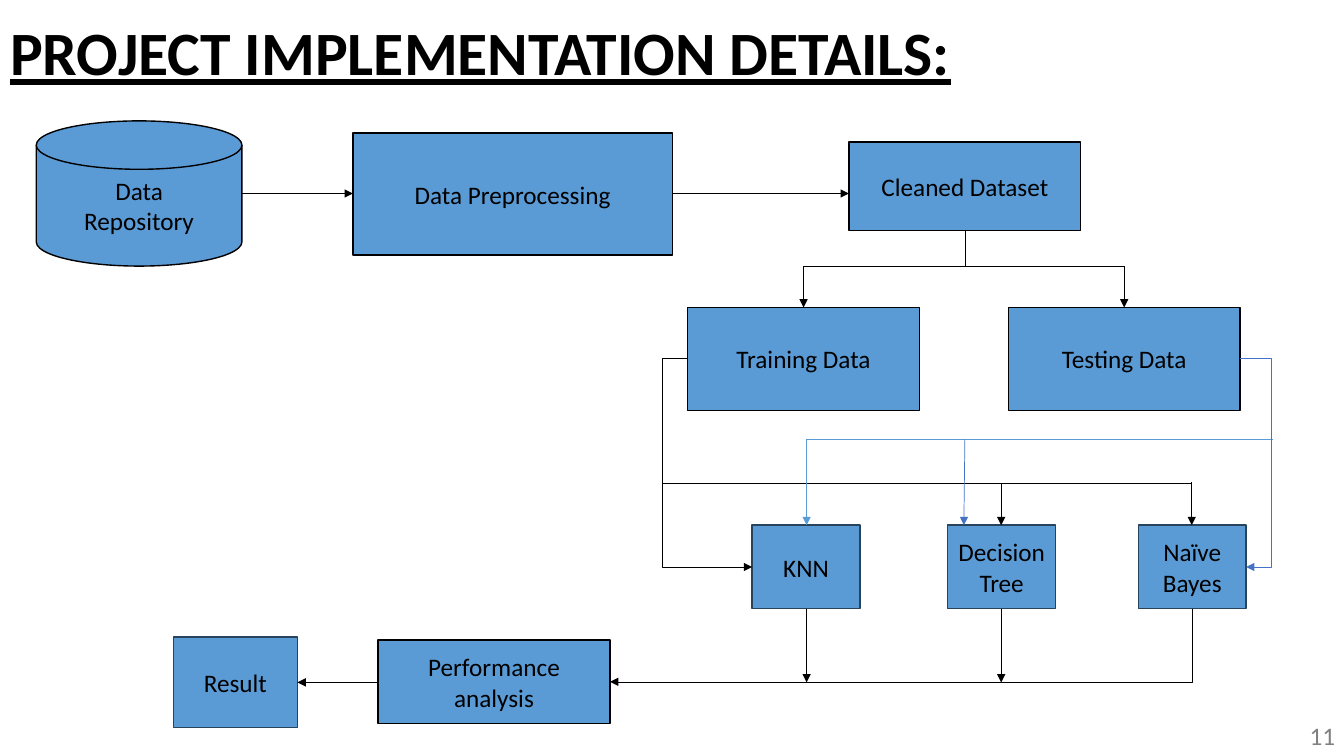
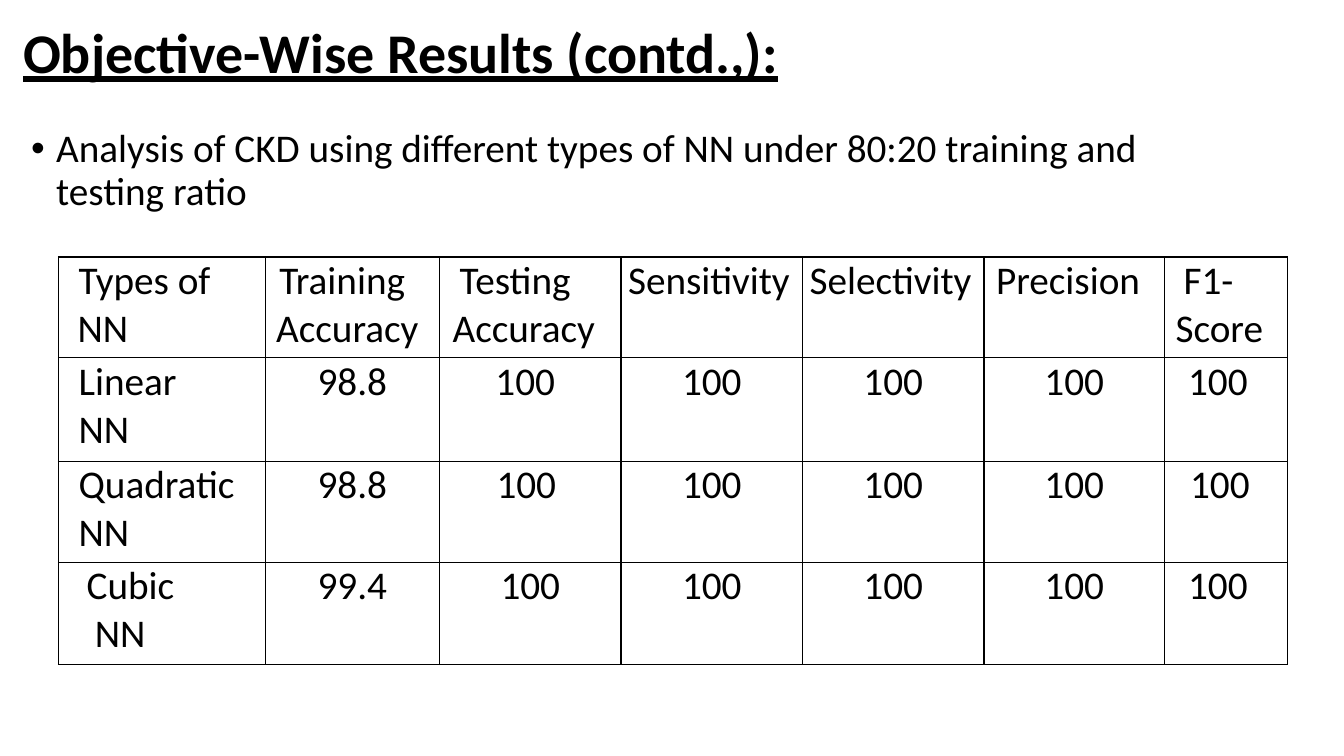
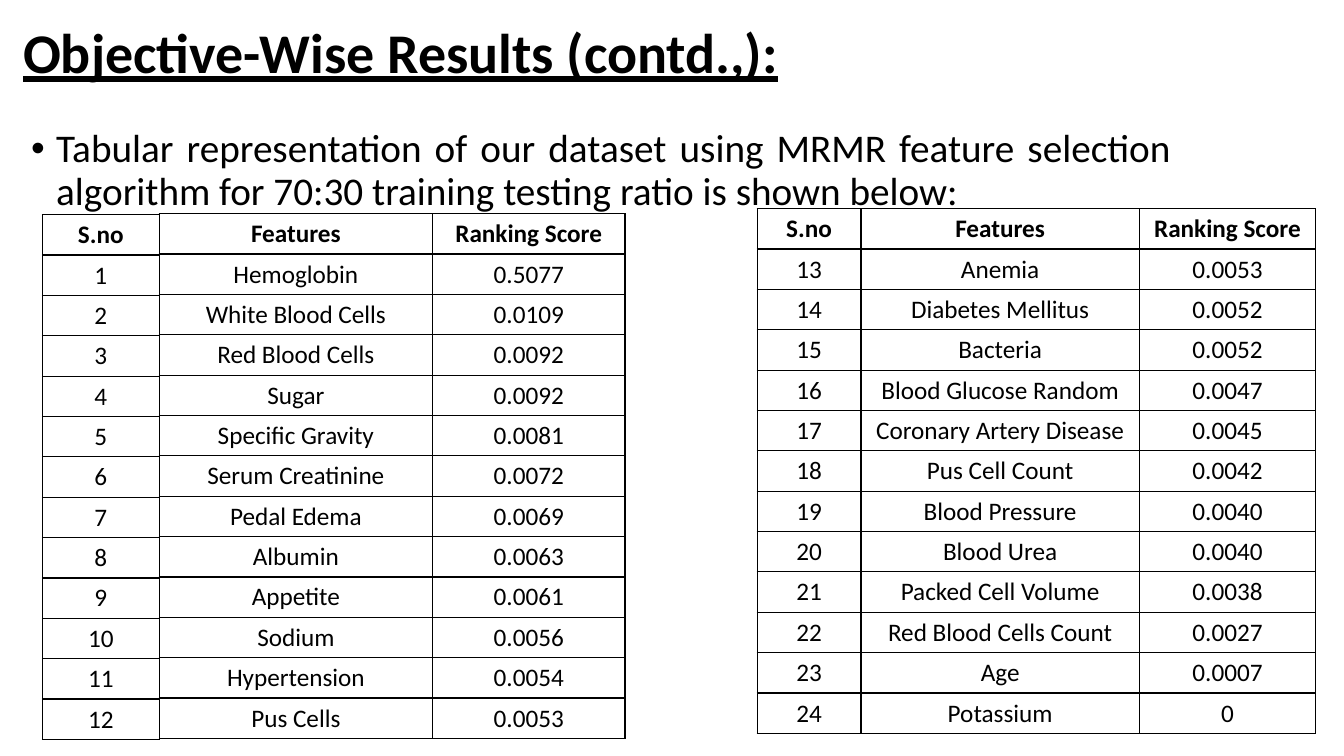
from lxml.etree import SubElement
from pptx import Presentation
from pptx.dml.color import RGBColor
from pptx.enum.shapes import MSO_CONNECTOR, MSO_SHAPE
from pptx.enum.text import MSO_ANCHOR, MSO_AUTO_SIZE, PP_ALIGN
from pptx.oxml import parse_xml
from pptx.oxml.ns import nsdecls, qn
from pptx.util import Inches, Pt

BLACK = RGBColor(0x00, 0x00, 0x00)
BLUE = RGBColor(0x5B, 0x9B, 0xD5)
ROYAL = RGBColor(0x44, 0x72, 0xC4)
NAVY = RGBColor(0x28, 0x44, 0x5D)
GREY = RGBColor(0x80, 0x80, 0x80)
FONT = "Calibri"
RESULTS = "Objective-Wise Results (contd.,):"

TYPES = [
    [[("Types of", 0.2), ("NN", 0.19)], [("Training", 0.14), ("Accuracy", 0.11)],
     [("Testing", 0.2), ("Accuracy", 0.13)], [("Sensitivity", 0.07)],
     [("Selectivity", 0.07)], [("Precision", 0.12)], [("F1-", 0.19), ("Score", 0.11)]],
    [[("Linear", 0.2), ("NN", 0.2)], "98.8"] + ["100"] * 5,
    [[("Quadratic", 0.2), ("NN", 0.2)], "98.8"] + ["100"] * 5,
    [[("Cubic", 0.28), ("NN", 0.36)], "99.4"] + ["100"] * 5,
]
RIGHT = {(1, 2): 0.1, (2, 2): 0.08, (1, 6): 0.16, (2, 6): 0.12, (3, 6): 0.16}

RANKS = [
    ("Hemoglobin", "0.5077"), ("White Blood Cells", "0.0109"),
    ("Red Blood Cells", "0.0092"), ("Sugar", "0.0092"),
    ("Specific Gravity", "0.0081"), ("Serum Creatinine", "0.0072"),
    ("Pedal Edema", "0.0069"), ("Albumin", "0.0063"),
    ("Appetite", "0.0061"), ("Sodium", "0.0056"),
    ("Hypertension", "0.0054"), ("Pus Cells", "0.0053"),
    ("Anemia", "0.0053"), ("Diabetes Mellitus", "0.0052"),
    ("Bacteria", "0.0052"), ("Blood Glucose Random", "0.0047"),
    ("Coronary Artery Disease", "0.0045"), ("Pus Cell Count", "0.0042"),
    ("Blood Pressure", "0.0040"), ("Blood Urea", "0.0040"),
    ("Packed Cell Volume", "0.0038"), ("Red Blood Cells Count", "0.0027"),
    ("Age", "0.0007"), ("Potassium", "0"),
]


def inch(box):
    return [Inches(v) for v in box]


def write(para, text, size, color=BLACK, bold=False, under=False):
    run = para.add_run()
    run.text = text
    font = run.font
    font.name, font.size, font.bold, font.underline = FONT, Pt(size), bold, under
    font.color.rgb = color


def start(deck, title, box, size):
    page = deck.slides.add_slide(deck.slide_layouts[5])
    head = page.shapes.title
    head.left, head.top, head.width, head.height = inch(box)
    frame = head.text_frame
    frame.auto_size = MSO_AUTO_SIZE.NONE
    frame.vertical_anchor = MSO_ANCHOR.MIDDLE
    para = frame.paragraphs[0]
    para.alignment = PP_ALIGN.LEFT
    para.line_spacing = 0.9
    write(para, title, size, bold=True, under=True)
    return page


def node(page, box, lines, edge=BLACK, kind=MSO_SHAPE.RECTANGLE):
    shape = page.shapes.add_shape(kind, *inch(box))
    shape.shadow.inherit = False
    shape.fill.solid()
    shape.fill.fore_color.rgb = BLUE
    shape.line.color.rgb = edge
    shape.line.width = Pt(1)
    frame = shape.text_frame
    frame.word_wrap = True
    frame.vertical_anchor = MSO_ANCHOR.MIDDLE
    for i, line in enumerate(lines):
        para = frame.add_paragraph() if i else frame.paragraphs[0]
        para.alignment = PP_ALIGN.CENTER
        write(para, line, 18)
    return shape


def link(page, ends, color=BLACK, tip="tailEnd", kind=MSO_CONNECTOR.STRAIGHT):
    wire = page.shapes.add_connector(kind, *inch(ends))
    wire.line.color.rgb = color
    wire.line.width = Pt(0.5)
    if tip:
        SubElement(wire.line._get_or_add_ln(), qn("a:" + tip), type="triangle")
    SubElement(wire._element.spPr, qn("a:effectLst"))
    return wire


def bend(page, one, two, ends, color=BLACK, tip="tailEnd", shift=None):
    wire = link(page, ends, color, tip, MSO_CONNECTOR.ELBOW)
    wire.begin_connect(*one)
    wire.end_connect(*two)
    geom = wire._element.spPr.find(qn("a:prstGeom"))
    if shift is None:
        geom.set("prst", "bentConnector2")
    else:
        guides = geom.find(qn("a:avLst"))
        SubElement(guides, qn("a:gd"), name="adj1", fmla=f"val {shift}")


def flow(page):
    node(page, (0.36, 1.2, 2.04, 1.44), ["Data", "Repository"],
         kind=MSO_SHAPE.FLOWCHART_MAGNETIC_DISK)
    node(page, (3.5, 1.32, 3.17, 1.21), ["Data Preprocessing"])
    node(page, (8.42, 1.41, 2.3, 0.88), ["Cleaned Dataset"])
    test = node(page, (10, 3.05, 2.3, 1.02), ["Testing Data"])
    train = node(page, (6.82, 3.05, 2.3, 1.02), ["Training Data"])
    score = node(page, (3.75, 6.35, 2.3, 0.83), ["Performance analysis"])
    node(page, (1.72, 6.32, 1.23, 0.9), ["Result"], NAVY)
    knn, tree, bayes = [
        node(page, (left, 5.21, 1.07, 0.83), [name], NAVY)
        for left, name in ((7.46, "KNN"), (9.4, "Decision Tree"), (11.29, "Naïve Bayes"))]

    for ends in ((2.4, 1.92, 3.5, 1.92), (6.67, 1.92, 8.42, 1.92),
                 (7.97, 2.64, 7.97, 3.05), (11.15, 2.64, 11.15, 3.05),
                 (11.82, 4.78, 11.82, 5.21), (9.93, 4.8, 9.93, 5.21),
                 (9.93, 6.04, 9.93, 6.77), (8, 6.04, 8, 6.77),
                 (3.75, 6.77, 2.95, 6.77)):
        link(page, ends)
    for ends in ((9.57, 2.29, 9.57, 2.64), (7.97, 2.64, 11.15, 2.64),
                 (6.57, 4.8, 11.82, 4.8)):
        link(page, ends, tip=None)
    link(page, (12.63, 4.36, 8, 4.36), BLUE, None)
    link(page, (8, 4.36, 8, 5.21), BLUE)
    link(page, (9.57, 4.36, 9.56, 5.21), ROYAL)
    bend(page, (train, 1), (knn, 1), (6.82, 3.56, 7.46, 5.62), shift=-39000)
    bend(page, (test, 3), (bayes, 3), (12.3, 3.56, 12.36, 5.62), ROYAL, shift=522500)
    bend(page, (score, 3), (bayes, 2), (6.05, 6.77, 11.82, 6.04), tip="headEnd")


def number(page, text):
    box = page.shapes.add_textbox(*inch((12.89, 7.1, 0.51, 0.4)))
    box.text_frame.word_wrap = True
    write(box.text_frame.paragraphs[0], text, 18, GREY)


def bullet(page, text, align):
    box = page.shapes.add_textbox(*inch((0.21, 1.23, 11.5, 0.95)))
    box.text_frame.word_wrap = True
    para = box.text_frame.paragraphs[0]
    props = para._p.get_or_add_pPr()
    props.set("marL", str(Inches(0.25)))
    props.set("indent", str(Inches(-0.25)))
    SubElement(props, qn("a:buFont"), typeface="Arial")
    SubElement(props, qn("a:buChar"), char="•")
    para.alignment = align
    para.line_spacing = 0.9
    write(para, text, 28)


def grid(page, spot, cols, rows):
    size = (sum(cols), sum(rows))
    table = page.shapes.add_table(len(rows), len(cols), *inch(spot + size)).table
    table.first_row = table.horz_banding = False
    for col, width in zip(table.columns, cols):
        col.width = Inches(width)
    for row, height in zip(table.rows, rows):
        row.height = Inches(height)
    for cell in table.iter_cells():
        props = cell._tc.get_or_add_tcPr()
        for side in "LRTB":
            props.append(parse_xml(
                f'<a:ln{side} {nsdecls("a")} w="12700"><a:solidFill>'
                f'<a:srgbClr val="{BLACK}"/></a:solidFill></a:ln{side}>'))
        cell.fill.background()
    return table


def scores(page):
    table = grid(page, (0.58, 2.55), (2.05, 1.73, 1.8, 1.8, 1.8, 1.79, 1.22),
                 (1, 1.03, 1, 1.01))
    for r, row in enumerate(TYPES):
        for c, item in enumerate(row):
            cell = table.cell(r, c)
            cell.margin_left = cell.margin_right = 0
            cell.margin_top = cell.margin_bottom = 0
            frame = cell.text_frame
            if isinstance(item, str):
                para = frame.paragraphs[0]
                para.alignment = PP_ALIGN.CENTER
                para._p.get_or_add_pPr().set("marR", str(Inches(RIGHT.get((r, c), 0))))
                write(para, item, 28)
                continue
            for i, (text, left) in enumerate(item):
                para = frame.add_paragraph() if i else frame.paragraphs[0]
                para._p.get_or_add_pPr().set("marL", str(Inches(left)))
                write(para, text, 28)


def ranks(page, spot, cols, rows):
    table = grid(page, spot, cols, [0.4] * len(rows))
    for r, row in enumerate(rows):
        for c, text in enumerate(row):
            para = table.cell(r, c).text_frame.paragraphs[0]
            para.alignment = PP_ALIGN.CENTER
            write(para, text, 18, bold=r == 0)


def main():
    deck = Presentation()
    deck.slide_width, deck.slide_height = Inches(13.33), Inches(7.5)

    page = start(deck, "PROJECT IMPLEMENTATION DETAILS:", (0, -0.17, 11.5, 1.45), 44)
    flow(page)
    number(page, "11")

    slot = (0.13, 0.11, 11.5, 0.88)
    page = start(deck, RESULTS, slot, 40)
    bullet(page, "Analysis of CKD using different types of NN under 80:20 "
           "training and testing ratio", PP_ALIGN.LEFT)
    scores(page)

    page = start(deck, RESULTS, slot, 40)
    bullet(page, "Tabular representation of our dataset using MRMR feature selection "
           "algorithm for 70:30 training testing ratio is shown below:", PP_ALIGN.JUSTIFY)
    head = ("S.no", "Features", "Ranking Score")
    full = [head] + [(str(i), *rank) for i, rank in enumerate(RANKS, 1)]
    ranks(page, (1.58, 2.12), (2.71, 1.91), [row[1:] for row in full[:13]])
    ranks(page, (0.42, 2.13), (1.16,), [row[:1] for row in full[:13]])
    ranks(page, (7.51, 2.07), (1.03, 2.76, 1.75), [head] + full[13:])

    deck.save("out.pptx")


if __name__ == "__main__":
    main()
